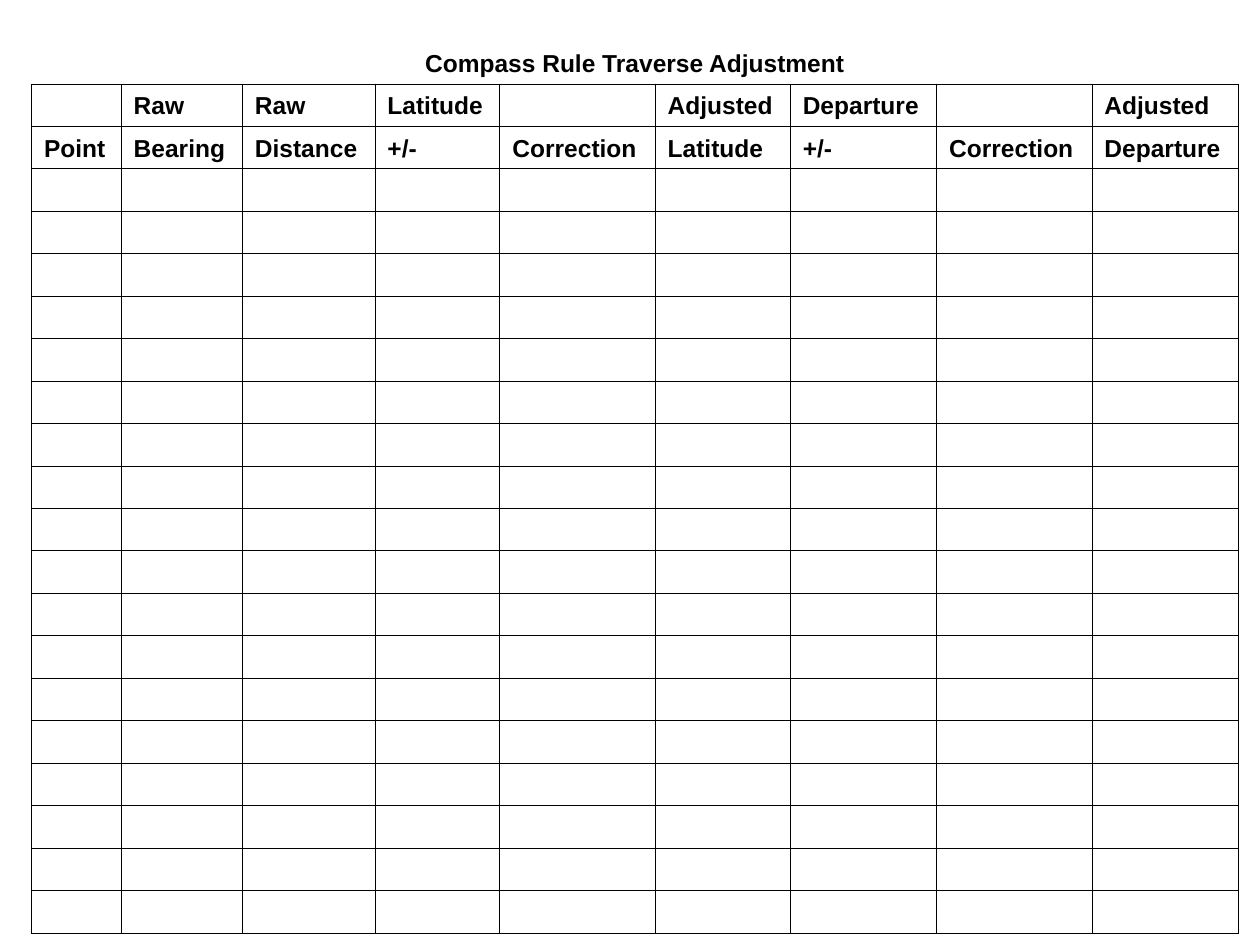
from lxml import etree
from pptx import Presentation, util as u
from pptx.dml.color import RGBColor
from pptx.enum import text
from pptx.oxml import ns

BLACK = RGBColor(0, 0, 0)
SLIDE_W, SLIDE_H = u.Inches(10), u.Inches(7.5)
TABLE_BOX = (0.025, 0.044, 0.958, 0.941)
COLUMN_SHARES = [0.71, 0.96, 1.05, 0.99, 1.23, 1.07, 1.16, 1.23, 1.16]
ROW_COUNT = 21
TITLE = "Compass Rule Traverse Adjustment"
HEADINGS = [
    ["", "Raw", "Raw", "Latitude", "", "Adjusted", "Departure", "", "Adjusted"],
    ["Point", "Bearing", "Distance", "+/-", "Correction", "Latitude", "+/-",
     "Correction", "Departure"],
]
FONT_SIZE = u.Pt(14)
FONT_FORMAT = {"name": "Arial", "size": FONT_SIZE, "bold": True}
CELL_FORMAT = {
    "vertical_anchor": text.MSO_ANCHOR.BOTTOM,
    "margin_left": u.Inches(0.1),
    "margin_right": u.Inches(0.1),
    "margin_top": u.Inches(0.05),
    "margin_bottom": u.Inches(0.05),
}


def apply_format(target, values):
    for name, value in values.items():
        setattr(target, name, value)


def add_borders(cell, sides):
    tcPr = cell._tc.get_or_add_tcPr()
    for side in sides:
        ln = etree.SubElement(tcPr, ns.qn(f"a:ln{side}"), w=str(u.Pt(0.45)))
        fill = etree.SubElement(ln, ns.qn("a:solidFill"))
        etree.SubElement(fill, ns.qn("a:srgbClr"), val=str(BLACK))


def fill_cell(cell, words, sides, align=text.PP_ALIGN.LEFT):
    apply_format(cell, CELL_FORMAT)
    add_borders(cell, sides)
    cell.fill.background()
    p = cell.text_frame.paragraphs[0]
    p.alignment = align
    if words:
        r = p.add_run()
        r.text = words
        apply_format(r.font, FONT_FORMAT)
        r.font.color.rgb = BLACK
    else:
        etree.SubElement(p._p, ns.qn("a:endParaRPr"), sz=str(int(FONT_SIZE.pt * 100)))


def add_traverse_table(s, left, top, width, height):
    table = s.shapes.add_table(
        ROW_COUNT, len(COLUMN_SHARES), left, top, width, height).table
    apply_format(table, {"first_row": False, "horz_banding": False})
    for column, share in zip(table.columns, COLUMN_SHARES):
        column.width = int(width * share / sum(COLUMN_SHARES))
    for row in table.rows:
        row.height = int(height / ROW_COUNT)

    table.cell(0, 0).merge(table.cell(0, len(COLUMN_SHARES) - 1))
    for i, cell in enumerate(table.rows[0].cells):
        fill_cell(cell, "" if i else TITLE, "B", text.PP_ALIGN.CENTER)

    blank_rows = [[""] * len(COLUMN_SHARES)] * (ROW_COUNT - 1 - len(HEADINGS))
    for i, words in enumerate(HEADINGS + blank_rows, start=1):
        for cell, word in zip(table.rows[i].cells, words):
            fill_cell(cell, word, "LRTB")


def main():
    prs = Presentation()
    apply_format(prs, {"slide_width": SLIDE_W, "slide_height": SLIDE_H})
    s = prs.slides.add_slide(prs.slide_layouts[6])
    sizes = (SLIDE_W, SLIDE_H) * 2
    add_traverse_table(s, *(int(share * size) for share, size in zip(TABLE_BOX, sizes)))
    prs.save("out.pptx")


if __name__ == "__main__":
    main()
